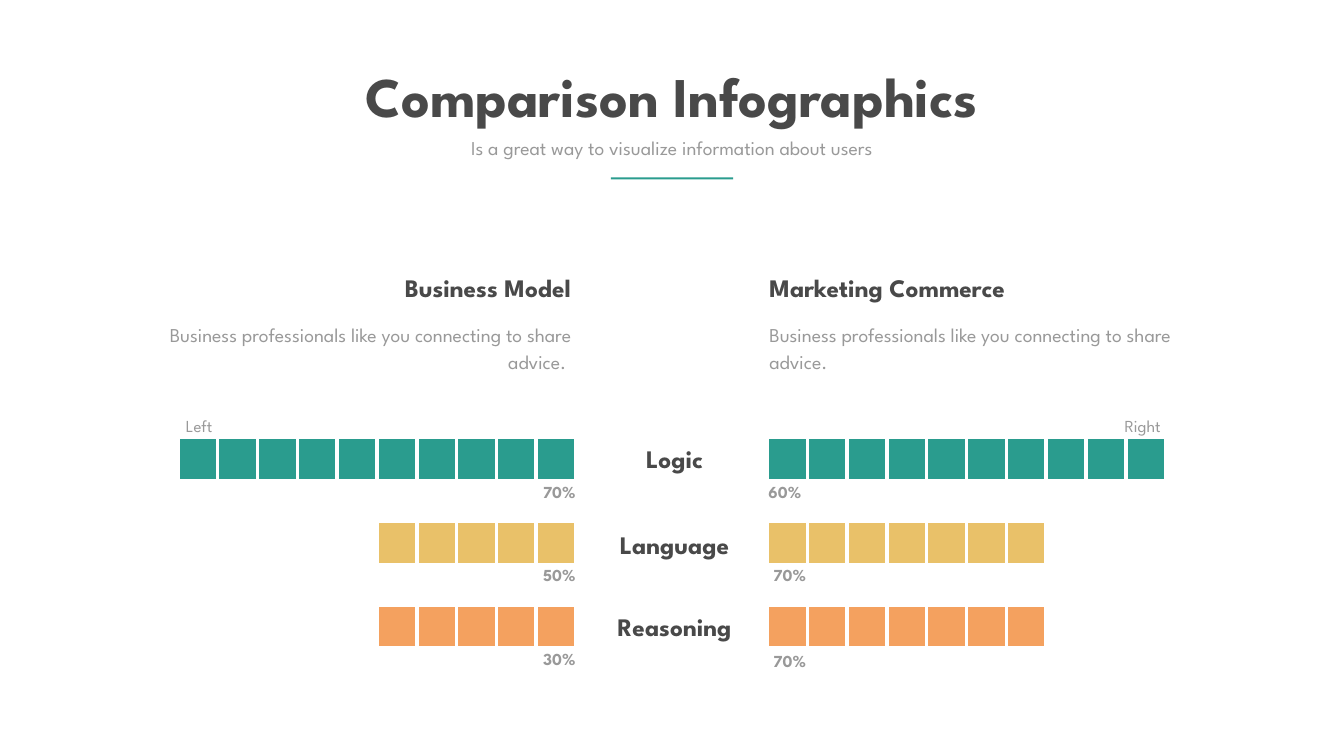
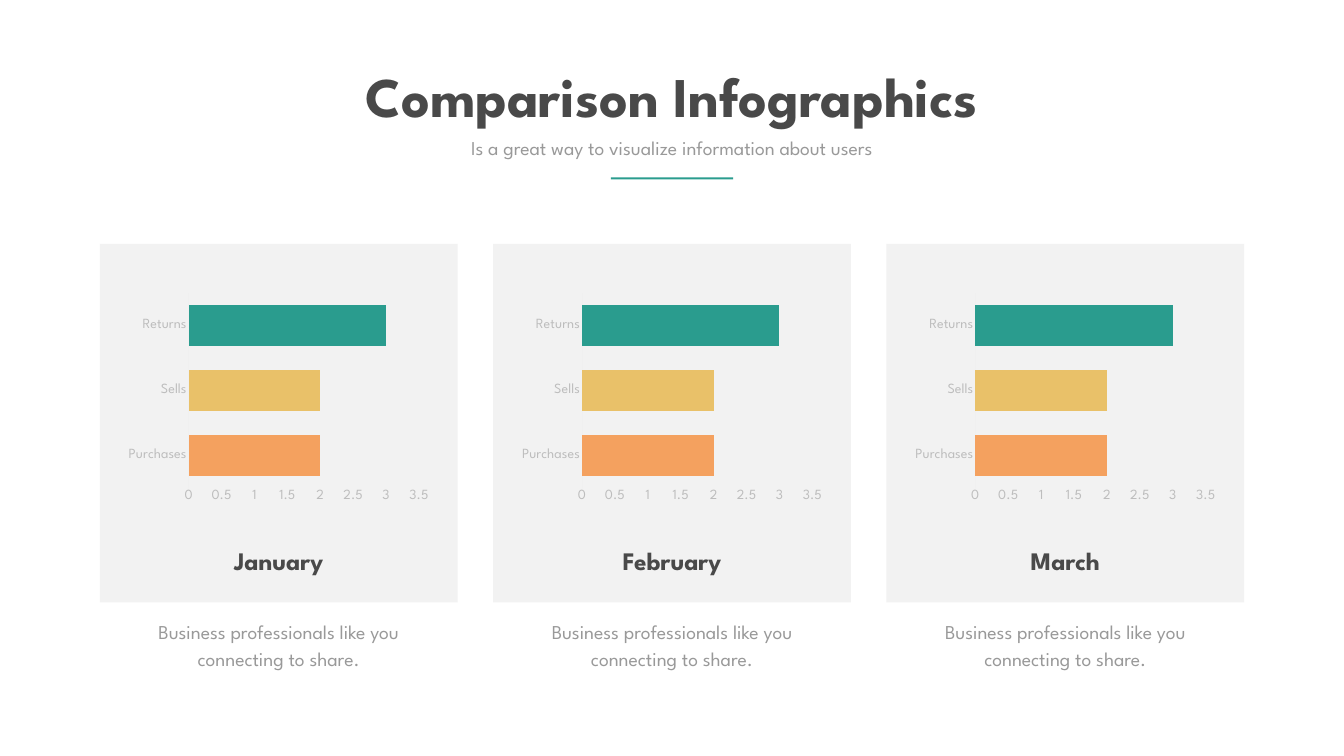
from pptx import Presentation
from pptx.chart.data import CategoryChartData
from pptx.dml.color import RGBColor
from pptx.enum.chart import XL_CHART_TYPE, XL_TICK_MARK
from pptx.enum.shapes import MSO_SHAPE
from pptx.enum.text import MSO_ANCHOR, MSO_AUTO_SIZE, PP_ALIGN
from pptx.util import Inches, Pt

LEFT, CENTER, RIGHT = PP_ALIGN.LEFT, PP_ALIGN.CENTER, PP_ALIGN.RIGHT
TOP = MSO_ANCHOR.TOP
GROW = MSO_AUTO_SIZE.SHAPE_TO_FIT_TEXT
RECT = MSO_SHAPE.RECTANGLE
BAR_STACKED = XL_CHART_TYPE.BAR_STACKED
NO_TICK = XL_TICK_MARK.NONE

FONT = "League Spartan"
COLORS = {
    "white": "FFFFFF",
    "dark": "494949",
    "gray": "999999",
    "axis": "BDBDBD",
    "axis_line": "F0F0F0",
    "card": "F2F2F2",
    "teal": "2A9C8E",
    "yellow": "E9C169",
    "orange": "F4A15F",
}
BODY_SPACING = Pt(38.6)
SQUARE_W, SQUARE_H = 0.79, 0.86
LEFT_BAR_END, RIGHT_BAR_START = 11.43, 15.23
CARD_LEFT, CARD_PITCH = 1.98, 7.805


def rgb(name):
    return RGBColor.from_string(COLORS[name])


def place(shape, left, top, width, height):
    shape.left, shape.top = Inches(left), Inches(top)
    shape.width, shape.height = Inches(width), Inches(height)


def style_font(font, size, color, bold=False):
    font.name = FONT
    font.size = Pt(size)
    font.bold = bold
    font.color.rgb = rgb(color)


def write(shape, text, size, color, bold=False, align=LEFT, wrap=True, spacing=None):
    tf = shape.text_frame
    tf.word_wrap = wrap
    tf.auto_size = GROW
    tf.vertical_anchor = TOP
    p = tf.paragraphs[0]
    p.alignment = align
    p.space_before = Pt(0)
    if spacing:
        p.line_spacing = spacing
    r = p.add_run()
    r.text = text
    style_font(r.font, size, color, bold)


def add_text(s, box, text, size, color, **options):
    sp = s.shapes.add_textbox(*map(Inches, box))
    write(sp, text, size, color, **options)


def add_heading(s, box, text, align=CENTER):
    add_text(s, box, text, 36, "dark", bold=True, align=align)


def add_body(s, box, text, align, size=28):
    add_text(s, box, text, size, "gray", align=align, spacing=BODY_SPACING)


def add_rect(s, box, color, outline=None):
    sp = s.shapes.add_shape(RECT, *map(Inches, box))
    sp.shadow.inherit = False
    sp.fill.solid()
    sp.fill.fore_color.rgb = rgb(color)
    if outline:
        sp.line.color.rgb = rgb(outline)
        sp.line.width = Pt(5)
    else:
        sp.line.fill.background()


def add_titled_slide(prs):
    s = prs.slides.add_slide(prs.slide_layouts[0])
    title, subtitle = s.shapes.title, s.placeholders[1]
    place(title, 6.21, 1.17, 14.23, 1.45)
    write(title, "Comparison Infographics", 80, "dark", bold=True,
          align=CENTER, wrap=False)
    place(subtitle, 8.55, 2.65, 9.56, 0.57)
    write(subtitle, "Is a great way to visualize information about users",
          28, "gray", align=CENTER)
    add_rect(s, (12.12, 3.52, 2.43, 0.04), "teal")
    return s


def add_squares(s, left, top, count, color):
    for i in range(count):
        add_rect(s, (left + i * SQUARE_W, top, SQUARE_W, SQUARE_H), color, "white")


def add_percent(s, left, top, text, align):
    add_text(s, (left, top, 0.87, 0.5), text, 24, "gray", bold=True,
             align=align, wrap=False)


def add_column_intro(s, left, width, heading, text, align):
    add_heading(s, (left, 5.35, width, 0.71), heading, align)
    add_body(s, (left, 6.28, width, 1.18), text, align)


def add_skill_row(s, name, color, top, name_top, left_side, right_side):
    add_heading(s, (11.7, name_top, 3.37, 0.71), name)
    count, percent, percent_top = left_side
    add_squares(s, LEFT_BAR_END - count * SQUARE_W, top, count, color)
    add_percent(s, 10.65, percent_top, percent, RIGHT)
    count, percent, percent_left, percent_top = right_side
    add_squares(s, RIGHT_BAR_START, top, count, color)
    add_percent(s, percent_left, percent_top, percent, LEFT)


def add_month_chart(s, box):
    data = CategoryChartData()
    data.categories = ["Purchases", "Sells", "Returns"]
    data.add_series("Series 1", (2, 2, 3))
    chart = s.shapes.add_chart(BAR_STACKED, *map(Inches, box), data).chart
    chart.has_legend = False
    chart.has_title = False
    style_font(chart.font, 20, "gray")

    plot = chart.plots[0]
    plot.gap_width = 60
    plot.overlap = 100
    plot.vary_by_categories = False
    series = plot.series[0]
    series.format.fill.solid()
    series.format.fill.fore_color.rgb = rgb("orange")
    for i, color in enumerate(("orange", "yellow", "teal")):
        fill = series.points[i].format.fill
        fill.solid()
        fill.fore_color.rgb = rgb(color)

    for axis in (chart.category_axis, chart.value_axis):
        axis.major_tick_mark = NO_TICK
        axis.minor_tick_mark = NO_TICK
        axis.has_major_gridlines = False
        style_font(axis.tick_labels.font, 20, "axis")
    chart.category_axis.format.line.color.rgb = rgb("axis_line")
    chart.category_axis.format.line.width = Pt(0.75)
    values = chart.value_axis
    values.format.line.fill.background()
    values.minimum_scale, values.maximum_scale = 0, 3.5
    values.major_unit = 0.5


def add_month_card(s, left, month):
    add_rect(s, (left, 4.84, 7.1, 7.11), "card")
    add_month_chart(s, (left + 0.45, 5.72, 6.2, 4.35))
    add_heading(s, (left + 1.29, 10.77, 4.52, 0.71), month)
    add_body(s, (left + 0.45, 12.18, 6.2, 1.18),
             "Business professionals like you connecting to share.", CENTER)


def build_skills_slide(prs):
    s = add_titled_slide(prs)
    advice = "Business professionals like you connecting to share advice."
    add_column_intro(s, 3.26, 8.17, "Business Model", advice + " ", RIGHT)
    add_column_intro(s, 15.17, 8.29, "Marketing Commerce", advice, LEFT)
    add_skill_row(s, "Logic", "teal", 8.68, 8.75,
                  (10, "70%", 9.5), (10, "60%", 15.15, 9.5))
    add_skill_row(s, "Language", "yellow", 10.35, 10.45,
                  (5, "50%", 11.16), (7, "70%", 15.25, 11.16))
    add_skill_row(s, "Reasoning", "orange", 12, 12.08,
                  (5, "30%", 12.83), (7, "70%", 15.25, 12.87))
    add_body(s, (3.59, 8.06, 2.07, 0.6), "Left", LEFT, 24)
    add_body(s, (21.06, 8.06, 2.07, 0.6), "Right", RIGHT, 24)


def build_months_slide(prs):
    s = add_titled_slide(prs)
    for i, month in enumerate(("January", "February", "March")):
        add_month_card(s, CARD_LEFT + i * CARD_PITCH, month)


def main():
    prs = Presentation()
    prs.slide_width, prs.slide_height = Inches(26.67), Inches(15)
    build_skills_slide(prs)
    build_months_slide(prs)
    prs.save("out.pptx")


if __name__ == "__main__":
    main()
